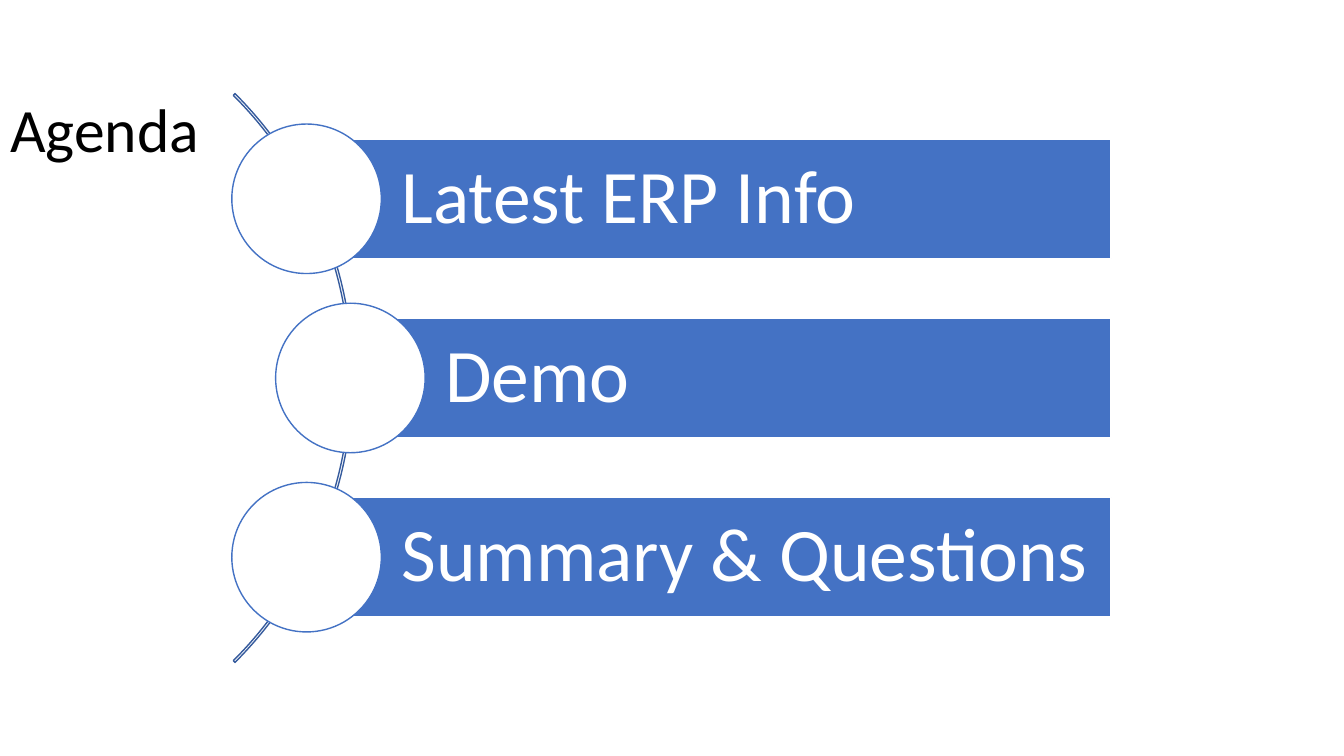
"""Build the agenda slide: three topic bars with circles strung along an arc."""
import pptx
import pptx.dml.color
import pptx.enum.shapes
import pptx.enum.text
import pptx.util

Pt = pptx.util.Pt
SHAPES = pptx.enum.shapes.MSO_SHAPE
BLUE, WHITE = "4472C4", "FFFFFF"


def paint(target, color):
    target.solid()
    target.fore_color.rgb = pptx.dml.color.RGBColor.from_string(color)


def write(frame, words, size, color):
    frame.word_wrap = True
    frame.auto_size = pptx.enum.text.MSO_AUTO_SIZE.NONE
    frame.vertical_anchor = pptx.enum.text.MSO_ANCHOR.MIDDLE
    line = frame.paragraphs[0]
    line.alignment = pptx.enum.text.PP_ALIGN.LEFT
    line.line_spacing = 0.9
    line.space_before = Pt(0)
    run = line.add_run()
    run.text = words
    run.font.name = "Calibri"
    run.font.size = Pt(size)
    paint(run.font.fill, color)


deck = pptx.Presentation()
deck.slide_width, deck.slide_height = Pt(960), Pt(540)
slide = deck.slides.add_slide(deck.slide_layouts[5])

heading = slide.shapes.title
heading.left, heading.top, heading.width, heading.height = Pt(0), Pt(42.5), Pt(828), Pt(104.4)
write(heading.text_frame, "Agenda", 44, "000000")

middle, pitch = 270, 128
arc_center, arc_size = -35.3, 574.6
arc = slide.shapes.add_shape(
    SHAPES.BLOCK_ARC, Pt(arc_center - arc_size / 2), Pt(middle - arc_size / 2), Pt(arc_size), Pt(arc_size))
arc.adjustments[0], arc.adjustments[1], arc.adjustments[2] = 189, 27, 0.003
arc.shadow.inherit = False
arc.fill.background()
paint(arc.line.fill, "365B9D")
arc.line.width = Pt(1)

bar_right, bar_height, circle_size = 793.6, 85.4, 106.8
topics = [("Latest ERP Info", 219), ("Demo", 250.3), ("Summary & Questions", 219)]
for row, (topic, center_x) in enumerate(topics):
    center_y = middle + (row - 1) * pitch
    bar = slide.shapes.add_shape(
        SHAPES.RECTANGLE, Pt(center_x), Pt(center_y - bar_height / 2), Pt(bar_right - center_x), Pt(bar_height))
    circle = slide.shapes.add_shape(
        SHAPES.OVAL, Pt(center_x - circle_size / 2), Pt(center_y - circle_size / 2), Pt(circle_size), Pt(circle_size))
    for part, fill, outline in ((bar, BLUE, WHITE), (circle, WHITE, BLUE)):
        part.shadow.inherit = False
        paint(part.fill, fill)
        paint(part.line.fill, outline)
        part.line.width = Pt(1)
    label = bar.text_frame
    label.margin_left = Pt(67.8)
    label.margin_top = label.margin_right = label.margin_bottom = Pt(10.8)
    write(label, topic, 54, WHITE)

deck.save("out.pptx")
